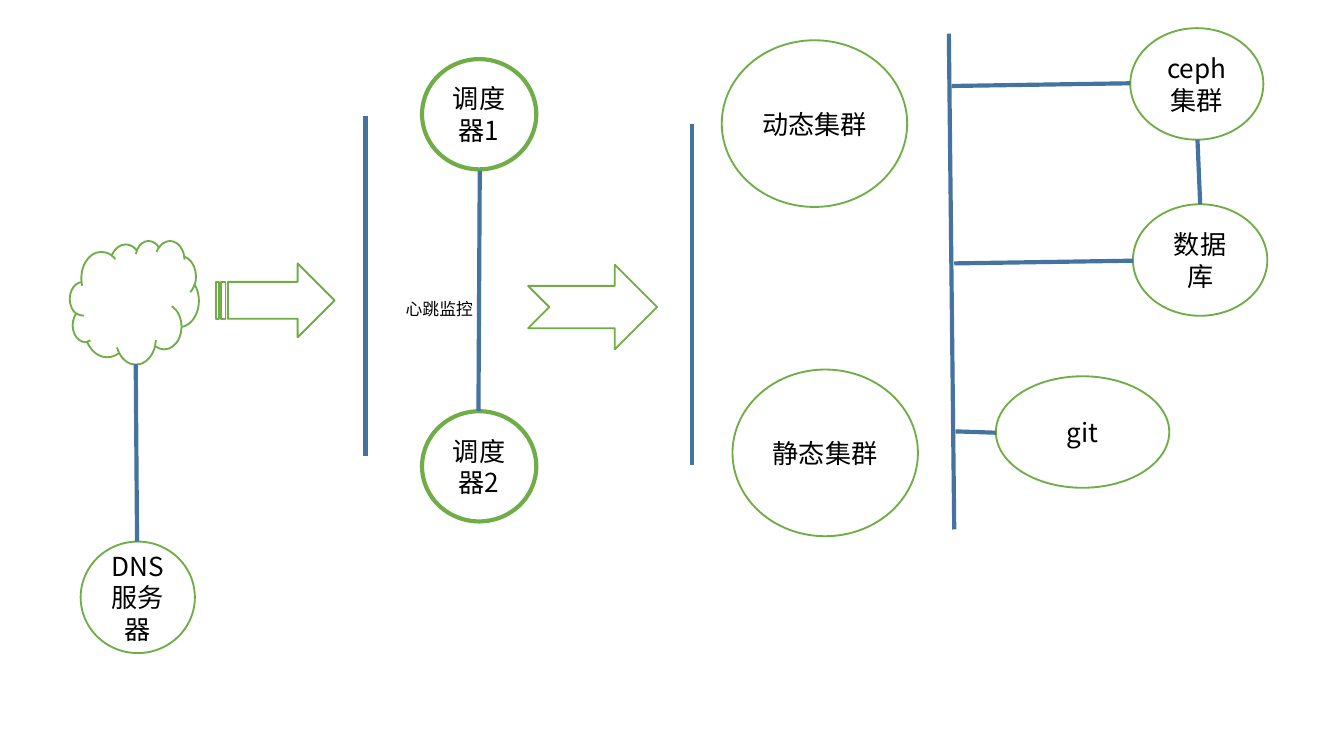
from dataclasses import dataclass

from lxml import etree
from pptx import Presentation
from pptx.dml.color import RGBColor
from pptx.enum.shapes import MSO_CONNECTOR, MSO_SHAPE
from pptx.enum.text import MSO_ANCHOR, MSO_AUTO_SIZE, PP_ALIGN
from pptx.oxml.ns import qn
from pptx.util import Inches, Pt

OVAL = MSO_SHAPE.OVAL
CLOUD = MSO_SHAPE.CLOUD
STRIPED = MSO_SHAPE.STRIPED_RIGHT_ARROW
NOTCHED = MSO_SHAPE.NOTCHED_RIGHT_ARROW
STRAIGHT = MSO_CONNECTOR.STRAIGHT
MIDDLE = MSO_ANCHOR.MIDDLE
CENTER, LEFT = PP_ALIGN.CENTER, PP_ALIGN.LEFT


@dataclass(frozen=True)
class Theme:
    font: str = "Noto Sans CJK SC"
    ink: RGBColor = RGBColor(0x00, 0x00, 0x00)
    fill: RGBColor = RGBColor(0xFF, 0xFF, 0xFF)
    edge: RGBColor = RGBColor(0x70, 0xAD, 0x47)
    link: RGBColor = RGBColor(0x43, 0x73, 0x9E)
    label: float = 14
    note: float = 9
    thin: float = 1
    thick: float = 2.25


theme = Theme()


def write(frame, text, size=theme.label, color=theme.ink, align=CENTER,
          inset=0.09):
    frame.word_wrap = True
    frame.margin_left = frame.margin_right = Inches(inset)
    para = frame.paragraphs[0]
    para.alignment = align
    run = para.add_run()
    run.text = text
    run.font.size = Pt(size)
    run.font.name = theme.font
    run.font.color.rgb = color
    # Chinese glyphs take their typeface from a:ea
    east = etree.SubElement(run.font._element, qn("a:ea"))
    east.set("typeface", theme.font)


deck = Presentation()
deck.slide_width = Inches(10)
deck.slide_height = deck.slide_width * 9 // 16
slide = deck.slides.add_slide(deck.slide_layouts[6])
shapes = slide.shapes

# Nodes and flow arrows: kind, left, top, width, height, line width, label
nodes = [
    (CLOUD, 0.52, 1.79, 0.96, 0.92, theme.thin, ""),
    (OVAL, 0.6, 4.03, 0.85, 0.83, theme.thin, "DNS服务器"),
    (STRIPED, 1.61, 1.96, 0.88, 0.55, theme.thin, ""),
    (OVAL, 3.14, 0.44, 0.85, 0.82, theme.thick, "调度器1"),
    (OVAL, 3.14, 3.06, 0.85, 0.82, theme.thick, "调度器2"),
    (NOTCHED, 3.93, 1.97, 0.96, 0.63, theme.thin, ""),
    (OVAL, 5.37, 0.3, 1.38, 1.24, theme.thin, "动态集群"),
    (OVAL, 5.45, 2.75, 1.38, 1.24, theme.thin, "静态集群"),
    (OVAL, 8.41, 0.21, 0.99, 0.83, theme.thin, "ceph集群"),
    (OVAL, 8.43, 1.52, 1, 0.83, theme.thin, "数据库"),
    (OVAL, 7.41, 2.8, 1.29, 0.83, theme.thin, "git"),
]
for kind, left, top, width, height, weight, label in nodes:
    node = shapes.add_shape(
        kind, Inches(left), Inches(top), Inches(width), Inches(height))
    node.shadow.inherit = False
    node.fill.solid()
    node.fill.fore_color.rgb = theme.fill
    node.line.color.rgb = theme.edge
    node.line.width = Pt(weight)
    if label:
        node.text_frame.vertical_anchor = MIDDLE
        write(node.text_frame, label)

# Tier dividers, then the links between nodes: x1, y1, x2, y2
links = [
    (2.72, 0.86, 2.72, 3.39),
    (5.15, 0.92, 5.15, 3.46),
    (7.06, 0.25, 7.1, 3.94),
    (1.02, 4.03, 1.01, 2.71),
    (3.57, 1.27, 3.56, 3.06),
    (7.08, 0.64, 8.41, 0.62),
    (7.1, 1.96, 8.43, 1.94),
    (7.11, 3.21, 7.41, 3.22),
    (8.93, 1.52, 8.91, 1.04),
]
for ends in links:
    link = shapes.add_connector(STRAIGHT, *map(Inches, ends))
    link.line.color.rgb = theme.link
    link.line.width = Pt(theme.thick)
    etree.SubElement(link._element.spPr, qn("a:effectLst"))

note = shapes.add_textbox(
    Inches(2.92), Inches(2.17), Inches(0.74), Inches(0.25))
note.text_frame.auto_size = MSO_AUTO_SIZE.SHAPE_TO_FIT_TEXT
write(note.text_frame, "心跳监控", size=theme.note, align=LEFT, inset=0.1)

deck.save("out.pptx")
